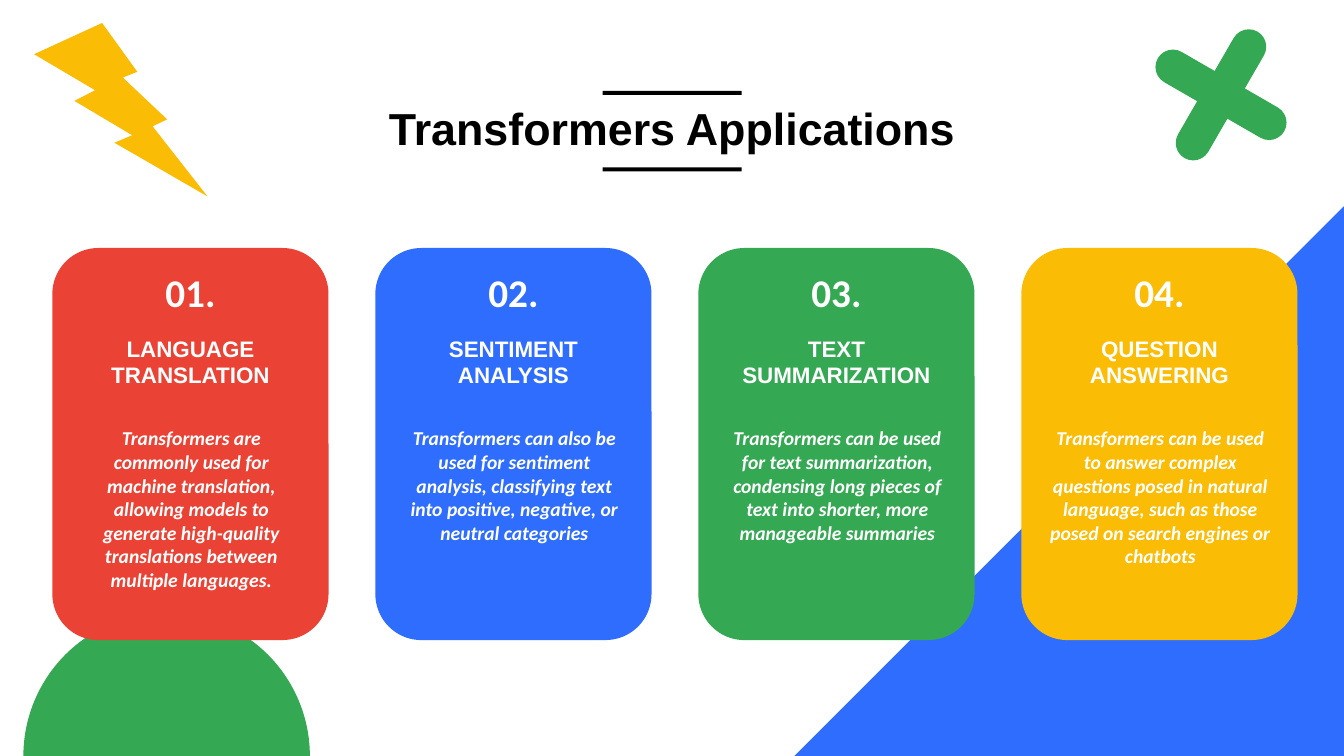
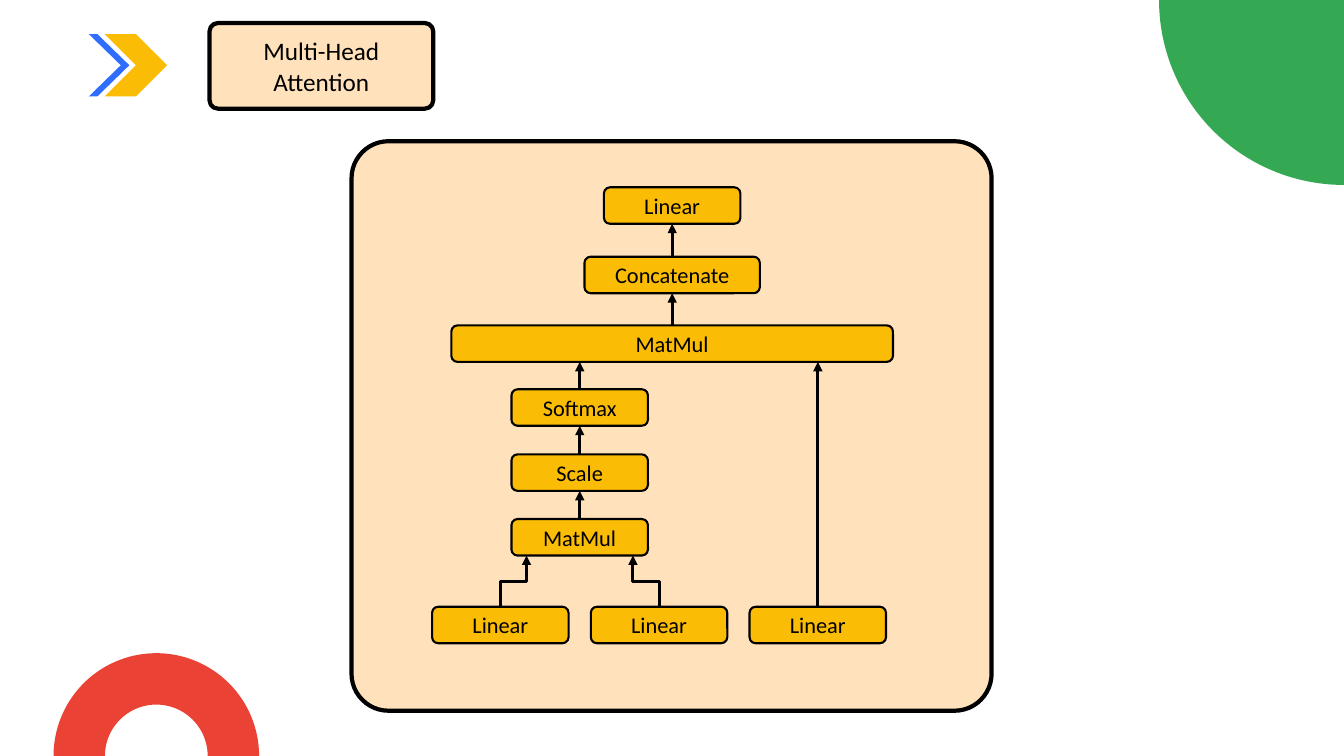
import pptx
import pptx.util
import pptx.dml.color
import pptx.enum.shapes
import pptx.enum.text
import pptx.oxml.ns
import lxml.etree

Cm = pptx.util.Cm
Kind = pptx.enum.shapes.MSO_SHAPE
Link = pptx.enum.shapes.MSO_CONNECTOR
hues = {
    "red": "EA4335", "blue": "2F6DFF", "green": "34A853", "gold": "FBBC05",
    "peach": "FFE2BB", "black": "000000", "white": "FFFFFF",
}
rgb = {name: pptx.dml.color.RGBColor.from_string(code) for name, code in hues.items()}


def draw(slide, kind, box, fill, line=0, adj=None):
    shape = slide.shapes.add_shape(kind, *[Cm(v) for v in box])
    shape.shadow.inherit = False
    shape.fill.solid()
    shape.fill.fore_color.rgb = rgb[fill]
    if line:
        shape.line.color.rgb = rgb["black"]
        shape.line.width = pptx.util.Pt(line)
    else:
        shape.line.fill.background()
    if adj is not None:
        shape.adjustments[0] = adj
    return shape


def write(shape, text, size, font, hue, bold=False, slant=False):
    frame = shape.text_frame
    frame.word_wrap = True
    frame.text = text
    para = frame.paragraphs[0]
    para.alignment = pptx.enum.text.PP_ALIGN.CENTER
    face = para.runs[0].font
    face.size = pptx.util.Pt(size)
    face.name = font
    face.bold = bold
    face.italic = slant
    face.color.rgb = rgb[hue]


deck = pptx.Presentation()
deck.slide_width, deck.slide_height = Cm(33.87), Cm(19.05)
blank = deck.slide_layouts[6]

apps = deck.slides.add_slide(blank)
draw(apps, Kind.OVAL, (0.59, 15.44, 7.22, 7.22), "green")
slope = draw(apps, Kind.RIGHT_TRIANGLE, (20.02, 5.2, 13.85, 13.85), "blue")
slope._element.spPr.xfrm.set("flipH", "1")

title = apps.shapes.add_textbox(Cm(7.82), Cm(2.41), Cm(18.24), Cm(1.62))
write(title, "Transformers Applications", 32, "Arial", "black", bold=True)
for top in (2.29, 4.22):
    draw(apps, Kind.RECTANGLE, (15.19, top, 3.5, 0.1), "black")

cards = [
    ("red", "LANGUAGE TRANSLATION",
     "Transformers are commonly used for machine translation, allowing models "
     "to generate high-quality translations between multiple languages."),
    ("blue", "SENTIMENT ANALYSIS",
     "Transformers can also be used for sentiment analysis, classifying text "
     "into positive, negative, or neutral categories"),
    ("green", "TEXT SUMMARIZATION",
     "Transformers can be used for text summarization, condensing long pieces "
     "of text into shorter, more manageable summaries"),
    ("gold", "QUESTION ANSWERING",
     "Transformers can be used to answer complex questions posed in natural "
     "language, such as those posed on search engines or chatbots"),
]
for i, (hue, head, body) in enumerate(cards):
    left = 1.32 + 8.14 * i
    draw(apps, Kind.ROUNDED_RECTANGLE, (left, 6.25, 6.96, 9.88), hue)
    for text, inset, top, wide, high, size, font, slant in (
        (f"{i + 1:02}.", 1.17, 6.63, 4.62, 1.45, 28, "Calibri", False),
        (head, 0.79, 8.31, 5.38, 1.62, 16, "Arial", False),
        (body, 0.47, 10.62, 6.07, 4.44, 14, "Calibri", True),
    ):
        area = apps.shapes.add_textbox(Cm(left + inset), Cm(top), Cm(wide), Cm(high))
        write(area, text, size, font, "white", bold=True, slant=slant)

draw(apps, Kind.LIGHTNING_BOLT, (0.86, 0.58, 4.37, 4.37), "gold")
for turn in (30, 120):
    bar = draw(apps, Kind.ROUNDED_RECTANGLE, (28.93, 1.95, 3.68, 0.88), "green", adj=0.5)
    bar.rotation = turn

heads = deck.slides.add_slide(blank)
draw(heads, Kind.OVAL, (29.21, -4.66, 9.32, 9.32), "green")
draw(heads, Kind.CHEVRON, (2.64, 0.86, 1.57, 1.57), "gold")
draw(heads, Kind.CHEVRON, (2.24, 0.86, 1.02, 1.57), "blue", adj=0.79)
draw(heads, Kind.BLOCK_ARC, (1.35, 16.46, 5.18, 5.18), "red")
label = draw(heads, Kind.ROUNDED_RECTANGLE, (5.28, 0.58, 5.64, 2.16), "peach", 3, 0.1)
write(label, "Multi-Head Attention", 18, "Calibri", "black")
draw(heads, Kind.ROUNDED_RECTANGLE, (8.86, 3.56, 16.13, 14.35), "peach", 3, 0.065)

high = 0.92
nodes = {
    "left": ("Linear", 12.61, 15.29, 3.44),
    "mid": ("Linear", 16.61, 15.29, 3.44),
    "right": ("Linear", 20.61, 15.29, 3.44),
    "score": ("MatMul", 14.61, 13.08, 3.44),
    "scale": ("Scale", 14.61, 11.45, 3.44),
    "soft": ("Softmax", 14.61, 9.81, 3.44),
    "mix": ("MatMul", 16.94, 8.2, 11.13),
    "join": ("Concatenate", 16.94, 6.47, 4.42),
    "out": ("Linear", 16.94, 4.72, 3.44),
}
boxes = {}
for key, (text, mid, top, wide) in nodes.items():
    box = (mid - wide / 2, top, wide, high)
    boxes[key] = draw(heads, Kind.ROUNDED_RECTANGLE, box, "gold", 1.5)
    write(boxes[key], text, 16, "Calibri", "black")

links = [
    ("right", "mix", 20.61), ("mid", "score", 15.95), ("left", "score", 13.27),
    ("score", "scale", 14.61), ("scale", "soft", 14.61), ("soft", "mix", 14.61),
    ("mix", "join", 16.94), ("join", "out", 16.94),
]
for tail, head, end in links:
    start, low = nodes[tail][1:3]
    top = nodes[head][2] + high
    if start == end:
        line = heads.shapes.add_connector(Link.STRAIGHT, Cm(start), Cm(low), Cm(end), Cm(top))
        line.begin_connect(boxes[tail], 0)
        if end == nodes[head][1]:
            line.end_connect(boxes[head], 2)
    else:
        x, y = (start + end) / 2, (low + top) / 2
        run, rise = (start - end) / 2, (low - top) / 2
        line = heads.shapes.add_connector(
            Link.ELBOW, Cm(x - rise), Cm(y + run), Cm(x + rise), Cm(y - run))
        line._element.spPr.xfrm.set("rot", str(270 * 60000))
    line.line.color.rgb = rgb["black"]
    line.line.width = pptx.util.Pt(2.25)
    tip = lxml.etree.SubElement(line.line._get_or_add_ln(), pptx.oxml.ns.qn("a:tailEnd"))
    tip.set("type", "triangle")
    lxml.etree.SubElement(line._element.spPr, pptx.oxml.ns.qn("a:effectLst"))

deck.save("out.pptx")
